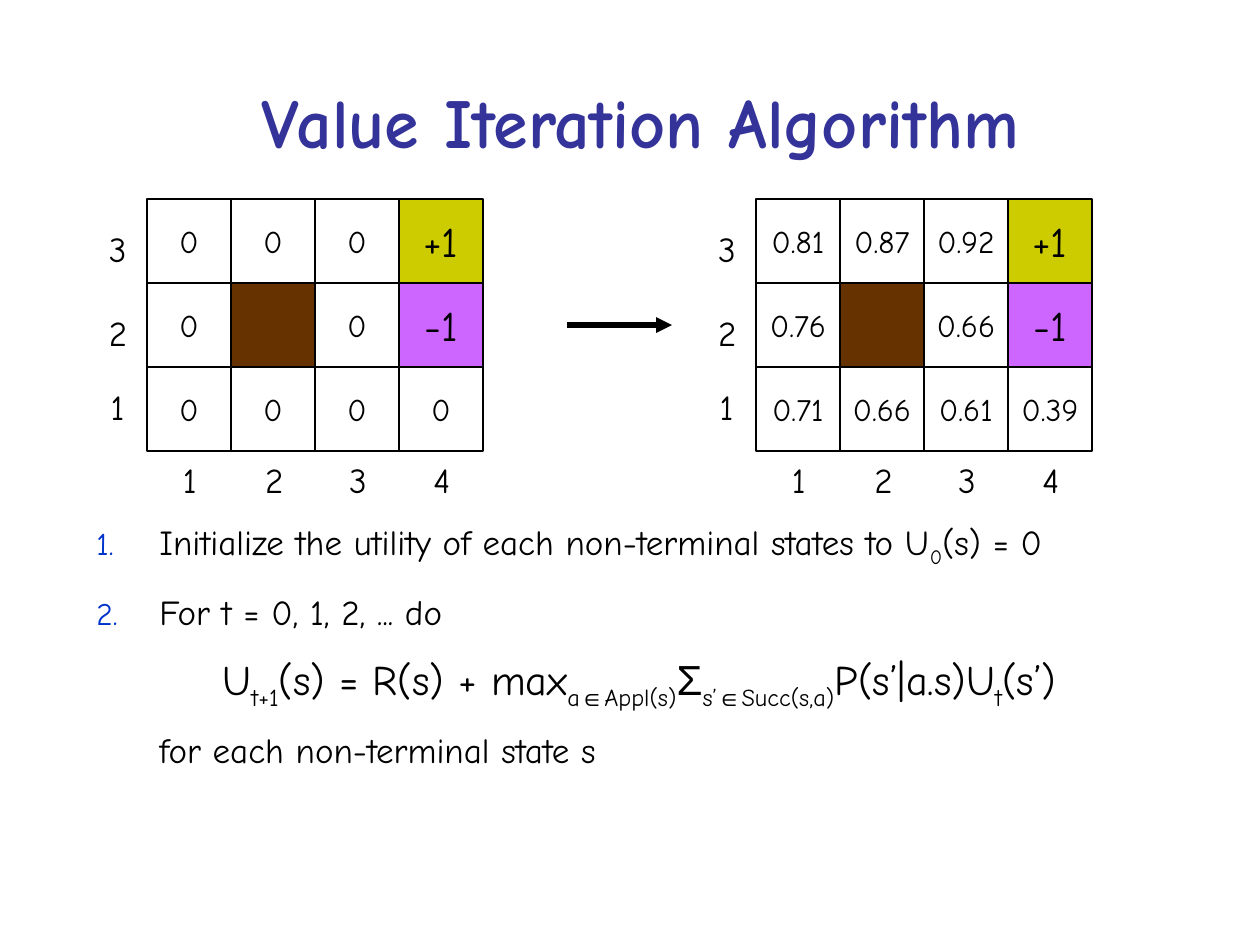
"""Build the slide on the value iteration algorithm."""
from dataclasses import dataclass

from lxml import etree
from pptx import Presentation
from pptx.dml.color import RGBColor
from pptx.enum.shapes import MSO_CONNECTOR, MSO_SHAPE
from pptx.enum.text import MSO_ANCHOR, PP_ALIGN
from pptx.oxml.ns import qn
from pptx.util import Inches, Pt

RECTANGLE = MSO_SHAPE.RECTANGLE
STRAIGHT = MSO_CONNECTOR.STRAIGHT
LEFT, CENTER = PP_ALIGN.LEFT, PP_ALIGN.CENTER
TOP, MIDDLE = MSO_ANCHOR.TOP, MSO_ANCHOR.MIDDLE

WIDTH, HEIGHT = Inches(10), Inches(7.5)
CELL = WIDTH / 15


@dataclass(frozen=True)
class Theme:
    """Colours, fonts and type sizes of the slide."""

    ink: str = "000000"
    title: str = "333399"
    number: str = "0033CC"
    plain: str = "FFFFFF"
    wall: str = "663300"
    reward: str = "CCCC00"
    penalty: str = "CC66FF"
    font: str = "Comic Neue"
    symbol_font: str = "Arial"
    title_size: int = 40
    formula_size: int = 24
    body_size: int = 20
    value_size: int = 18


THEME = Theme()
WALL = ""
SPECIAL_FILLS = {WALL: THEME.wall, "+1": THEME.reward, "-1": THEME.penalty}
START_VALUES = (("0", "0", "0", "+1"), ("0", WALL, "0", "-1"), ("0", "0", "0", "0"))
FINAL_VALUES = (
    ("0.81", "0.87", "0.92", "+1"),
    ("0.76", WALL, "0.66", "-1"),
    ("0.71", "0.66", "0.61", "0.39"),
)
ROW_LABELS = (("3", 0.27), ("2", 1.27), ("1", 2.14))
SYMBOLS = ("∈", "Σ")

FORMULA = (
    ("U", False), ("t+1", True), ("(s) = R(s) + max", False),
    ("a", True), ("∈", True), ("Appl(s)", True), ("Σ", False),
    ("s’", True), ("∈", True), ("Succ(s,a)", True),
    ("P(s’|a.s)U", False), ("t", True), ("(s’)", False),
)
STEPS = (
    {"parts": (("Initialize the utility of each non-terminal states to U", False),
               ("0", True), ("(s) = 0", False)),
     "size": THEME.body_size, "before": 0, "indent": 0.5, "numbered": True},
    {"parts": (("For t = 0, 1, 2, ... do", False),),
     "size": THEME.body_size, "before": 13, "indent": 0.5, "numbered": True},
    {"parts": FORMULA,
     "size": THEME.formula_size, "before": 12, "indent": 1, "numbered": False},
    {"parts": (("for each non-terminal state s", False),),
     "size": THEME.body_size, "before": 10, "indent": 0.5, "numbered": False},
)


def apply_format(target, values):
    """Set each attribute of target from a dict of format values."""
    for attribute, value in values.items():
        setattr(target, attribute, value)


def cells(*counts):
    """Turn counts of grid cells into whole lengths."""
    return [round(count * CELL) for count in counts]


def add_run(paragraph, text, size, color=THEME.ink, bold=False, subscript=False):
    """Add one formatted run, lowered when it is a subscript."""
    run = paragraph.add_run()
    run.text = text
    font = THEME.symbol_font if text in SYMBOLS else THEME.font
    apply_format(run.font, {"name": font, "size": Pt(size), "bold": bold})
    run.font.color.rgb = RGBColor.from_string(color)
    if subscript:
        run.font._element.set("baseline", "-25000")


def add_text(shapes, box, text, size, wrap=False, anchor=TOP, **style):
    """Add a text box holding one centred line."""
    frame = shapes.add_textbox(*box).text_frame
    apply_format(frame, {"word_wrap": wrap, "vertical_anchor": anchor})
    paragraph = frame.paragraphs[0]
    paragraph.alignment = CENTER
    add_run(paragraph, text, size, **style)


def add_cell(shapes, left, top, value):
    """Add one square of a grid world with its utility."""
    square = shapes.add_shape(RECTANGLE, *cells(left, top, 1, 1))
    square.shadow.inherit = False
    square.fill.solid()
    fill = SPECIAL_FILLS.get(value, THEME.plain)
    square.fill.fore_color.rgb = RGBColor.from_string(fill)
    square.line.color.rgb = RGBColor.from_string(THEME.ink)
    square.line.width = Pt(0.75)
    if value == WALL:
        return
    frame = square.text_frame
    apply_format(frame, {"word_wrap": False, "vertical_anchor": MIDDLE})
    paragraph = frame.paragraphs[0]
    paragraph.alignment = CENTER
    terminal = value in SPECIAL_FILLS
    add_run(paragraph, value, THEME.formula_size if terminal else THEME.value_size)


def add_grid_world(slide, left, top, values):
    """Add a grouped grid world with row and column labels."""
    shapes = slide.shapes.add_group_shape().shapes
    for row, utilities in enumerate(values):
        for column, utility in enumerate(utilities):
            add_cell(shapes, left + column, top + row, utility)
    for label, offset in ROW_LABELS:
        box = cells(left - 0.6, top + offset, 0.5, 0.66)
        add_text(shapes, box, label, THEME.body_size)
    for column in range(len(values[0])):
        box = cells(left + column + 0.26, top + len(values) + 0.02, 0.5, 0.66)
        add_text(shapes, box, str(column + 1), THEME.body_size)


def add_arrow(slide, start, end, level):
    """Add a level arrow between two columns of the slide grid."""
    arrow = slide.shapes.add_connector(STRAIGHT, *cells(start, level, end, level))
    arrow.line.color.rgb = RGBColor.from_string(THEME.ink)
    arrow.line.width = Pt(3)
    line = arrow.line._get_or_add_ln()
    etree.SubElement(line, qn("a:tailEnd"), type="triangle")
    etree.SubElement(line.getparent(), qn("a:effectLst"))


def set_numbering(paragraph, indent, numbered):
    """Indent a paragraph and give it a hanging number if wanted."""
    properties = paragraph._p.get_or_add_pPr()
    properties.set("marL", str(Inches(indent)))
    properties.set("indent", str(Inches(-0.5) if numbered else 0))
    if not numbered:
        etree.SubElement(properties, qn("a:buNone"))
        return
    color = etree.SubElement(properties, qn("a:buClr"))
    etree.SubElement(color, qn("a:srgbClr"), val=THEME.number)
    etree.SubElement(properties, qn("a:buSzPct"), val="90000")
    etree.SubElement(properties, qn("a:buFont"), typeface=THEME.font)
    etree.SubElement(properties, qn("a:buAutoNum"), type="arabicPeriod")


def add_steps(slide, box, steps):
    """Add the steps of the algorithm as one text box."""
    frame = slide.shapes.add_textbox(*box).text_frame
    frame.word_wrap = True
    for index, step in enumerate(steps):
        paragraph = frame.add_paragraph() if index else frame.paragraphs[0]
        set_numbering(paragraph, step["indent"], step["numbered"])
        apply_format(paragraph, {"alignment": LEFT, "space_before": Pt(step["before"])})
        for text, subscript in step["parts"]:
            add_run(paragraph, text, step["size"], subscript=subscript)


def main():
    """Build and save the slide."""
    deck = Presentation()
    apply_format(deck, {"slide_width": WIDTH, "slide_height": HEIGHT})
    slide = deck.slides.add_slide(deck.slide_layouts[6])
    add_text(slide.shapes, cells(1, 0.5, 13.25, 1.88), "Value Iteration Algorithm",
             THEME.title_size, wrap=True, anchor=MIDDLE, color=THEME.title, bold=True)
    add_steps(slide, cells(1, 6.12, 13.62, 3.06), STEPS)
    add_grid_world(slide, 1.75, 2.37, START_VALUES)
    add_grid_world(slide, 9, 2.37, FINAL_VALUES)
    add_arrow(slide, 6.75, 8, 3.87)
    deck.save("out.pptx")


if __name__ == "__main__":
    main()
